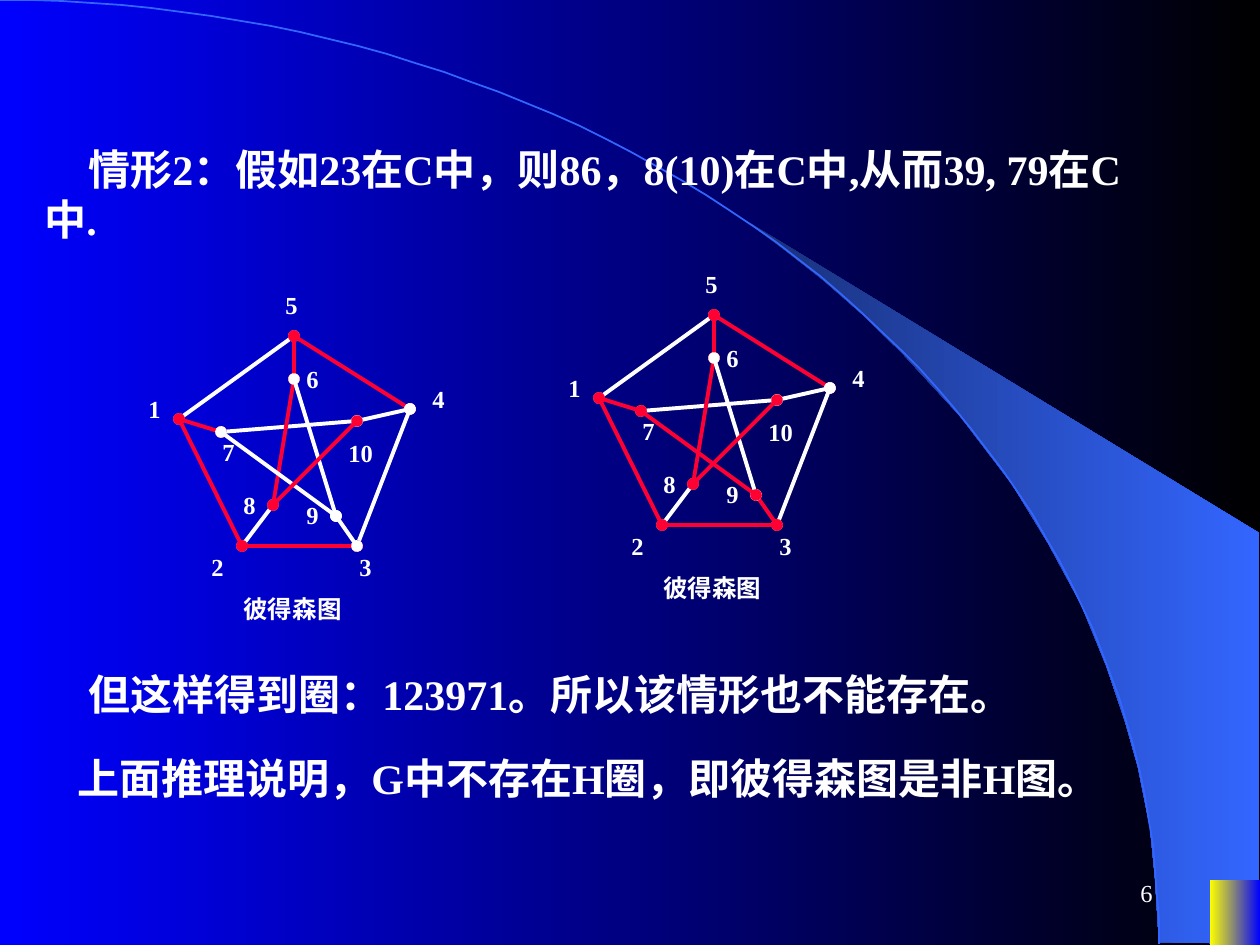
import math

from lxml import etree
from pptx import Presentation
from pptx import util as u
from pptx.dml.color import RGBColor
from pptx.enum import shapes, text
from pptx.oxml.ns import qn

PX = 914400 / 126
WIDTH, HEIGHT = 1260, 945
FONT = "Times New Roman"

WHITE = RGBColor(0xFF, 0xFF, 0xFF)
BLACK = RGBColor(0, 0, 0)
RED = RGBColor(0xFF, 0, 0x33)
BLUE = RGBColor(0, 0, 0xFF)
YELLOW = RGBColor(0xFF, 0xFF, 0)
NAVY = RGBColor(0x18, 0x2F, 0x76)
SKY = RGBColor(0x33, 0x66, 0xFF)

WEDGE = [(1159, 942), (1259, 944), (1259, 533), (742, 218), (786, 251),
         (823, 280), (863, 315), (902, 353), (960, 416), (1012, 484),
         (1048, 543), (1081, 604), (1106, 665), (1125, 721), (1138, 767),
         (1150, 827), (1155, 877)]

VERTICES = {1: (179, 419), 2: (242, 546), 3: (357, 546), 4: (410, 409),
            5: (294, 336), 6: (294, 379), 7: (221, 432), 8: (273, 505),
            9: (336, 516), 10: (357, 421)}
LABELS = {1: (136, 388), 2: (199, 546), 3: (347, 546), 4: (420, 378),
          5: (273, 284), 6: (294, 358), 7: (210, 431), 8: (231, 484),
          9: (294, 494), 10: (336, 432)}
EDGES = [(8, 2), (7, 10), (5, 1), (5, 4), (1, 2), (4, 3), (2, 3), (5, 6),
         (1, 7), (10, 4), (9, 3), (6, 8), (6, 9), (7, 9), (10, 8)]
PATH = {(5, 4), (1, 2), (2, 3), (5, 6), (1, 7), (6, 8), (10, 8)}


def px(length):
    return u.Emu(round(length * PX))


def paint_gradient(fill, start, end):
    """Fill from left to right with two colours."""
    fill.gradient()
    fill.gradient_angle = 0
    for stop, color in zip(fill.gradient_stops, (start, end)):
        stop.color.rgb = color


class Page:
    """Holds the slide, its style, and the shape collection being drawn on."""

    def __init__(self, deck):
        self.slide = deck.slides.add_slide(deck.slide_layouts[6])
        self.canvas = self.slide.shapes

    def background(self, start, end):
        paint_gradient(self.slide.background.fill, start, end)

    def outline(self, points, close):
        builder = self.canvas.build_freeform(*points[0], scale=PX)
        builder.add_line_segments(points[1:], close=close)
        shape = builder.convert_to_shape()
        shape.shadow.inherit = False
        return shape

    def wedge(self, points, start, end):
        shape = self.outline(points, True)
        paint_gradient(shape.fill, start, end)
        shape.line.fill.background()

    def arc(self, radius_x, radius_y, color, steps=60):
        """Draw a quarter ellipse from the top left corner to the bottom."""
        angles = [math.pi / 2 * step / steps for step in range(steps + 1)]
        points = [(round(radius_x * math.sin(angle), 2),
                   round(radius_y * (1 - math.cos(angle)), 2)) for angle in angles]
        shape = self.outline(points, False)
        shape.fill.background()
        shape.line.color.rgb = color
        shape.line.width = u.Pt(1)

    def block(self, left, top, width, height, start, end):
        shape = self.canvas.add_shape(shapes.MSO_SHAPE.RECTANGLE,
                                      px(left), px(top), px(width), px(height))
        shape.shadow.inherit = False
        paint_gradient(shape.fill, start, end)
        shape.line.fill.background()

    def add_text(self, words, left, top, width, height, *, size=14, bold=True,
                 indent=0, align=None, anchor=text.MSO_ANCHOR.TOP):
        box = self.canvas.add_textbox(px(left), px(top), px(width), px(height))
        frame = box.text_frame
        frame.word_wrap = True
        frame.vertical_anchor = anchor
        para = frame.paragraphs[0]
        if indent:
            para._p.get_or_add_pPr().set("indent", str(px(indent)))
        para.alignment = align
        span = para.add_run()
        span.text = words
        span.font.name = FONT
        span.font.size = u.Pt(size)
        span.font.bold = bold
        span.font.color.rgb = WHITE

    def edge(self, start, end, color):
        """Draw a line with a round dot at both ends."""
        line = self.canvas.add_connector(shapes.MSO_CONNECTOR.STRAIGHT,
                                         *map(px, start + end))
        line.line.color.rgb = color
        line.line.width = u.Pt(2.25)
        outline = line.line._get_or_add_ln()
        for tag in ("a:headEnd", "a:tailEnd"):
            etree.SubElement(outline, qn(tag), type="oval")
        etree.SubElement(line._element.spPr, qn("a:effectLst"))

    def petersen_graph(self, right, down, red_edges):
        self.canvas = self.slide.shapes.add_group_shape().shapes

        def moved(point):
            return point[0] + right, point[1] + down

        for start, end in EDGES:
            color = RED if (start, end) in red_edges else WHITE
            self.edge(moved(VERTICES[start]), moved(VERTICES[end]), color)
        for number, spot in LABELS.items():
            self.add_text(str(number), *moved(spot), 63 if number > 9 else 44, 43)
        self.add_text("彼得森图", *moved((231, 588)), 158, 43)
        self.canvas = self.slide.shapes


def main():
    deck = Presentation()
    deck.slide_width, deck.slide_height = px(WIDTH), px(HEIGHT)

    page = Page(deck)
    page.background(BLUE, BLACK)
    page.wedge(WEDGE, NAVY, SKY)
    page.arc(1159, 944, SKY)
    page.block(1210, 880, 50, 65, YELLOW, BLUE)
    page.add_text("6", 903, 861, 262, 63, bold=False,
                  align=text.PP_ALIGN.RIGHT, anchor=text.MSO_ANCHOR.MIDDLE)

    page.add_text("但这样得到圈：123971。所以该情形也不能存在。",
                  32, 662, 1113, 72, size=24, indent=44)
    page.add_text("情形2：假如23在C中，则86，8(10)在C中,从而39, 79在C中.",
                  32, 137, 1124, 122, size=24, indent=44)
    page.petersen_graph(0, 0, PATH)
    page.petersen_graph(420, -21, PATH | {(9, 3), (7, 9)})
    page.add_text("上面推理说明，G中不存在H圈，即彼得森图是非H图。",
                  21, 746, 1113, 72, size=24, indent=44)

    deck.save("out.pptx")


if __name__ == "__main__":
    main()
